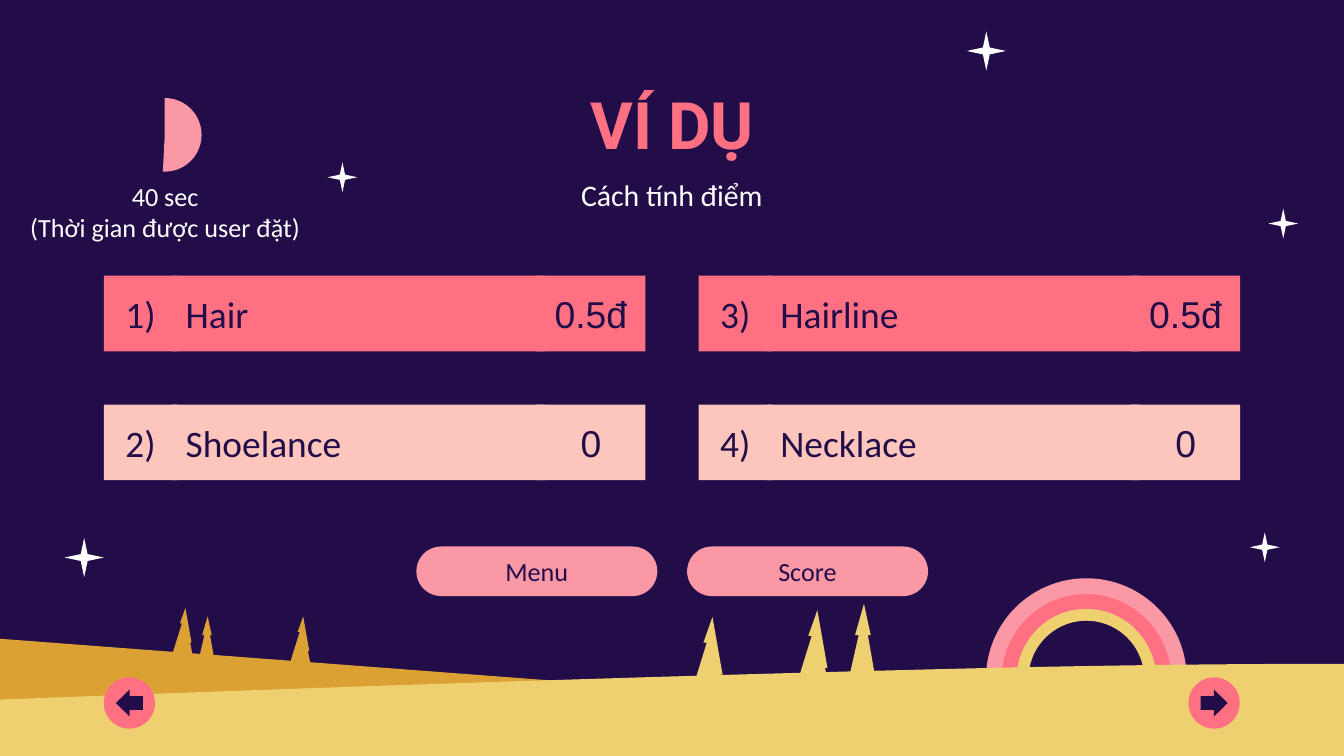
from dataclasses import dataclass
from math import asin, cos, pi, sin, tan
from typing import NamedTuple

from pptx import Presentation
from pptx.dml.color import RGBColor
from pptx.enum.shapes import MSO_SHAPE
from pptx.enum.text import MSO_ANCHOR, PP_ALIGN
from pptx.oxml.ns import qn
from pptx.oxml.xmlchemy import OxmlElement
from pptx.util import Pt

RECTANGLE = MSO_SHAPE.RECTANGLE
PILL = MSO_SHAPE.ROUNDED_RECTANGLE
STAR = MSO_SHAPE.STAR_4_POINT
DISC = MSO_SHAPE.OVAL
PIE = MSO_SHAPE.PIE
LEFT_ARROW = MSO_SHAPE.LEFT_ARROW
RIGHT_ARROW = MSO_SHAPE.RIGHT_ARROW
MIDDLE = MSO_ANCHOR.MIDDLE
LEFT = PP_ALIGN.LEFT
CENTER = PP_ALIGN.CENTER

WIDTH, HEIGHT = 720, 405


@dataclass(frozen=True)
class Theme:
    night: str = "220D49"
    coral: str = "FF7083"
    rose: str = "FA98A5"
    peach: str = "FDC6BC"
    sand: str = "EED071"
    ochre: str = "DBA134"
    white: str = "FFFFFF"
    title_font: str = "Roboto"
    body_font: str = "Calibri"
    score_font: str = "Arial"
    title_size: int = 35
    answer_size: int = 20
    subtitle_size: int = 16
    label_size: int = 14


THEME = Theme()


class Area(NamedTuple):
    left: float
    top: float
    width: float
    height: float


class Style(NamedTuple):
    size: int
    color: str
    font: str = THEME.body_font
    bold: bool = False
    align: PP_ALIGN = CENTER
    side_inset: float = 7.2


class Answer(NamedTuple):
    number: str
    word: str
    score: str
    left: float
    top: float
    color: str


class Curve(NamedTuple):
    first_handle: tuple
    second_handle: tuple
    end: tuple


class Tree(NamedTuple):
    area: Area
    outline: list
    color: str


def paint(shape, color: str | None) -> None:
    if color:
        shape.fill.solid()
        shape.fill.fore_color.rgb = RGBColor.from_string(color)
    else:
        shape.fill.background()
    shape.line.fill.background()
    shape.shadow.inherit = False


def add_preset(slide, kind, area: Area, color: str | None, adjustments=()):
    shape = slide.shapes.add_shape(kind, *map(Pt, area))
    for index, value in enumerate(adjustments):
        shape.adjustments[index] = value
    paint(shape, color)
    return shape


def add_outline(slide, segments: list, color: str) -> None:
    """Draw a closed outline of points and curves, starting at a point."""
    corners = []
    for segment in segments:
        corners += segment if isinstance(segment, Curve) else [segment]
    corners = [(Pt(x), Pt(y)) for x, y in corners]
    builder = slide.shapes.build_freeform(*corners[0])
    builder.add_line_segments(corners[1:], close=True)
    shape = builder.convert_to_shape()

    # Each curve takes over three straight segments
    lines = iter(list(shape._element.iter(qn("a:lnTo"))))
    for segment in segments[1:]:
        line = next(lines)
        if isinstance(segment, Curve):
            bezier = OxmlElement("a:cubicBezTo")
            line.addprevious(bezier)
            for part in (line, next(lines), next(lines)):
                bezier.append(part[0])
                part.getparent().remove(part)
    paint(shape, color)


def write(box, lines: list, style: Style) -> None:
    frame = box.text_frame
    frame.word_wrap = True
    frame.vertical_anchor = MIDDLE
    frame.margin_left = frame.margin_right = Pt(style.side_inset)
    frame.margin_top = frame.margin_bottom = Pt(7.2)
    for index, line in enumerate(lines):
        para = frame.add_paragraph() if index else frame.paragraphs[0]
        para.alignment = style.align
        span = para.add_run()
        span.text = line
        span.font.name = style.font
        span.font.size = Pt(style.size)
        span.font.bold = style.bold
        span.font.color.rgb = RGBColor.from_string(style.color)


def add_text(slide, area: Area, lines: list, style: Style) -> None:
    write(slide.shapes.add_textbox(*map(Pt, area)), lines, style)


def arch(radius: float, side: int) -> list:
    """Rainbow edge over the top, from the left foot (-1) or the right foot (1)."""
    center_x, center_y, horizon = 582, 363.6, 357.8
    dip = asin((center_y - horizon) / radius)
    handle = 4 / 3 * tan((pi / 2 - dip) / 4) * radius
    reach, top = radius * cos(dip), center_y - radius
    lean, rise = reach - handle * sin(dip), horizon - handle * cos(dip)
    return [
        (center_x + side * reach, horizon),
        Curve((center_x + side * lean, rise), (center_x + side * handle, top), (center_x, top)),
        Curve((center_x - side * handle, top), (center_x - side * lean, rise),
              (center_x - side * reach, horizon)),
    ]


def add_tree(slide, tree: Tree) -> None:
    left, top, width, height = tree.area
    add_outline(slide, [(left + x * width, top + y * height) for x, y in tree.outline], tree.color)


def add_answer(slide, answer: Answer) -> None:
    ink = Style(THEME.answer_size, THEME.night)
    cells = (
        (36.8, 199.5, answer.word, ink._replace(align=LEFT)),
        (0, 39.5, answer.number, ink._replace(side_inset=0)),
        (231.8, 58.4, answer.score, ink._replace(font=THEME.score_font)),
    )
    for offset, width, text, style in cells:
        area = Area(answer.left + offset, answer.top, width, 40.5)
        write(add_preset(slide, RECTANGLE, area, answer.color), [text], style)


def add_arrow_button(slide, left: float, arrow) -> None:
    add_preset(slide, DISC, Area(left, 362.9, 27.5, 27.5), THEME.coral)
    add_preset(slide, arrow, Area(left + 6.5, 369.4, 14.5, 14.5), THEME.night, (0.51, 0.51))


def main() -> None:
    deck = Presentation()
    deck.slide_width, deck.slide_height = Pt(WIDTH), Pt(HEIGHT)
    page = deck.slides.add_slide(deck.slide_layouts[6])
    page.background.fill.solid()
    page.background.fill.fore_color.rgb = RGBColor.from_string(THEME.night)

    # Rainbow
    for outer, inner, color in ((38, 31, THEME.sand), (46, 37.4, THEME.coral), (53.8, 45.4, THEME.rose)):
        add_outline(page, arch(outer, -1) + arch(inner, 1), color)

    # Hills
    add_outline(page, [(0, 342.2), (WIDTH, 396.7), (WIDTH, HEIGHT), (0, HEIGHT)], THEME.ochre)
    add_outline(page, [
        (WIDTH, 355.6),
        Curve((635.8, 355.6), (561.6, 357), (494.6, 358.7)),
        Curve((327.6, 362.9), (162, 368.6), (0, 374.8)),
        (0, HEIGHT), (WIDTH, HEIGHT),
    ], THEME.sand)

    # Trees, outlined as fractions of their area
    wide = [(0.65, 0), (0.95, 0.74), (0.88, 0.74), (1, 1), (0, 1), (0.48, 0.33), (0.38, 0.33)]
    slim = [(0.57, 0), (0.81, 0.4), (0.71, 0.4), (1, 1), (0, 1), (0.38, 0.4), (0.25, 0.4)]
    for tree in (
        Tree(Area(426.2, 326.9, 18, 41.8), wide, THEME.sand),
        Tree(Area(370, 330.5, 18, 41.8), wide, THEME.sand),
        Tree(Area(454.3, 323.5, 15, 41.8), slim, THEME.sand),
        Tree(Area(92.2, 325.7, 11, 25.2), wide, THEME.ochre),
        Tree(Area(155.3, 330.2, 11, 25.2), wide, THEME.ochre),
        Tree(Area(106, 330.2, 9.2, 25.2), slim, THEME.ochre),
    ):
        add_tree(page, tree)

    # Stars
    for left, top, size in ((34.6, 288.2, 21), (517.9, 16.8, 21), (175.5, 87, 16),
                            (669.6, 285.2, 16), (679.5, 111.8, 16)):
        add_preset(page, STAR, Area(left, top, size, size), THEME.white, (0.125,))

    # Heading
    add_text(page, Area(170.8, 42.2, 378.7, 48.2), ["VÍ DỤ"],
             Style(THEME.title_size, THEME.coral, THEME.title_font, True))
    add_text(page, Area(170.6, 91, 378.7, 26.6), ["Cách tính điểm"],
             Style(THEME.subtitle_size, THEME.white))

    # Timer
    add_preset(page, PIE, Area(68.5, 52.5, 39.5, 39.5), THEME.rose, (162, 55.73))
    caption = add_preset(page, PILL, Area(3.6, 100.1, 169.9, 26.6), None, (0,))
    write(caption, ["40 sec", "(Thời gian được user đặt)"], Style(THEME.label_size, THEME.white))

    # Answers
    columns, rows = (55.6, 374.2), (147.7, 216.8)
    for answer in (
        Answer("1)", "Hair", "0.5đ", columns[0], rows[0], THEME.coral),
        Answer("2)", "Shoelance", "0", columns[0], rows[1], THEME.peach),
        Answer("3)", "Hairline", "0.5đ", columns[1], rows[0], THEME.coral),
        Answer("4)", "Necklace", "0", columns[1], rows[1], THEME.peach),
    ):
        add_answer(page, answer)

    # Buttons
    for left, label in ((223.1, "Menu"), (368.1, "Score")):
        button = add_preset(page, PILL, Area(left, 292.8, 129.1, 26.6), THEME.rose, (0.5,))
        write(button, [label], Style(THEME.label_size, THEME.night))
    add_arrow_button(page, 55.6, LEFT_ARROW)
    add_arrow_button(page, 636.7, RIGHT_ARROW)

    deck.save("out.pptx")


if __name__ == "__main__":
    main()
